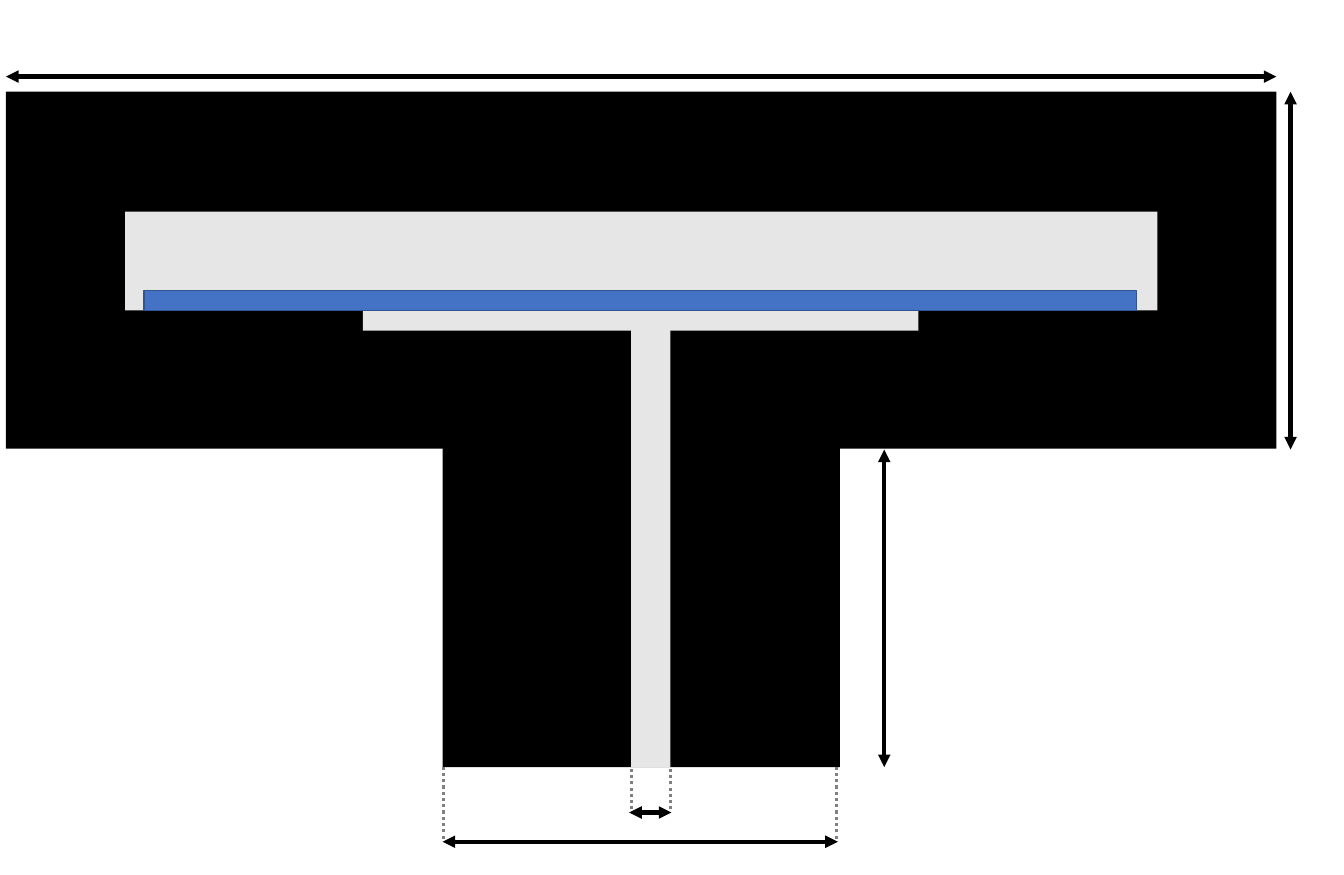
"""Draw a T-shaped cross-section with its dimension arrows."""
from typing import NamedTuple

from lxml.etree import SubElement
from pptx import Presentation
from pptx.dml.color import RGBColor
from pptx.enum.dml import MSO_LINE
from pptx.enum.shapes import MSO_CONNECTOR, MSO_SHAPE
from pptx.oxml.ns import qn
from pptx.shapes.connector import Connector
from pptx.shapes.shapetree import GroupShapes, SlideShapes
from pptx.util import Inches, Pt

BLACK = RGBColor(0x00, 0x00, 0x00)
CAVITY_GRAY = RGBColor(0xE7, 0xE6, 0xE6)
PLATE_BLUE = RGBColor(0x44, 0x72, 0xC4)
PLATE_EDGE = RGBColor(0x32, 0x54, 0x91)
GUIDE_GRAY = RGBColor(0x80, 0x80, 0x80)

STEM_BOTTOM = 7.61


class Block(NamedTuple):
    left: float
    top: float
    width: float
    height: float
    fill: RGBColor
    edge: RGBColor | None = None


class Segment(NamedTuple):
    x1: float
    y1: float
    x2: float
    y2: float


class Guide(NamedTuple):
    x: float
    bottom: float


BLOCKS = [
    Block(0.06, 0.91, 12.6, 3.54, BLACK),
    Block(4.39, 4.26, 3.94, 3.35, BLACK),
    Block(1.24, 2.1, 10.24, 0.98, CAVITY_GRAY),
    Block(3.6, 3.08, 5.51, 0.2, CAVITY_GRAY),
    Block(6.26, 3.17, 0.39, 4.44, CAVITY_GRAY),
    Block(1.43, 2.88, 9.84, 0.2, PLATE_BLUE, PLATE_EDGE),
]
DIMENSIONS = [
    Segment(0.06, 0.76, 12.66, 0.76),
    Segment(12.8, 4.46, 12.8, 0.91),
    Segment(8.77, STEM_BOTTOM, 8.77, 4.46),
    Segment(4.39, 8.35, 8.31, 8.35),
    Segment(6.24, 8.06, 6.66, 8.06),
]
GUIDES = [Guide(4.4, 8.32), Guide(8.3, 8.32), Guide(6.65, 8.03), Guide(6.26, 8.03)]


def draw_block(shapes: GroupShapes, block: Block) -> None:
    """Add one filled rectangle of the cross-section."""
    box = shapes.add_shape(MSO_SHAPE.RECTANGLE, *map(Inches, block[:4]))
    box.shadow.inherit = False
    box.fill.solid()
    box.fill.fore_color.rgb = block.fill
    if block.edge is None:
        box.line.fill.background()
    else:
        box.line.color.rgb = block.edge
        box.line.width = Pt(1)


def draw_line(shapes: SlideShapes, segment: Segment, color: RGBColor, width: float) -> Connector:
    """Add a straight connector without a shadow."""
    line = shapes.add_connector(MSO_CONNECTOR.STRAIGHT, *map(Inches, segment))
    line.line.color.rgb = color
    line.line.width = Pt(width)
    SubElement(line._element.spPr, qn("a:effectLst"))
    return line


def draw_dimension(shapes: SlideShapes, segment: Segment) -> None:
    """Add a double-headed dimension arrow."""
    arrow = draw_line(shapes, segment, BLACK, 3)
    outline = arrow._element.spPr.find(qn("a:ln"))
    for end in ("a:headEnd", "a:tailEnd"):
        SubElement(outline, qn(end), type="triangle")


def draw_guide(shapes: SlideShapes, guide: Guide) -> None:
    """Add a dotted guide from a dimension arrow up to the stem."""
    segment = Segment(guide.x, guide.bottom, guide.x, STEM_BOTTOM)
    line = draw_line(shapes, segment, GUIDE_GRAY, 2.25)
    line.line.dash_style = MSO_LINE.ROUND_DOT


def main() -> None:
    """Build and save the deck."""
    deck = Presentation()
    deck.slide_width, deck.slide_height = Inches(13.33), Inches(8.68)
    page = deck.slides.add_slide(deck.slide_layouts.get_by_name("Blank"))
    section = page.shapes.add_group_shape()
    for block in BLOCKS:
        draw_block(section.shapes, block)
    for dimension in DIMENSIONS:
        draw_dimension(page.shapes, dimension)
    for guide in GUIDES:
        draw_guide(page.shapes, guide)
    deck.save("out.pptx")


main()
